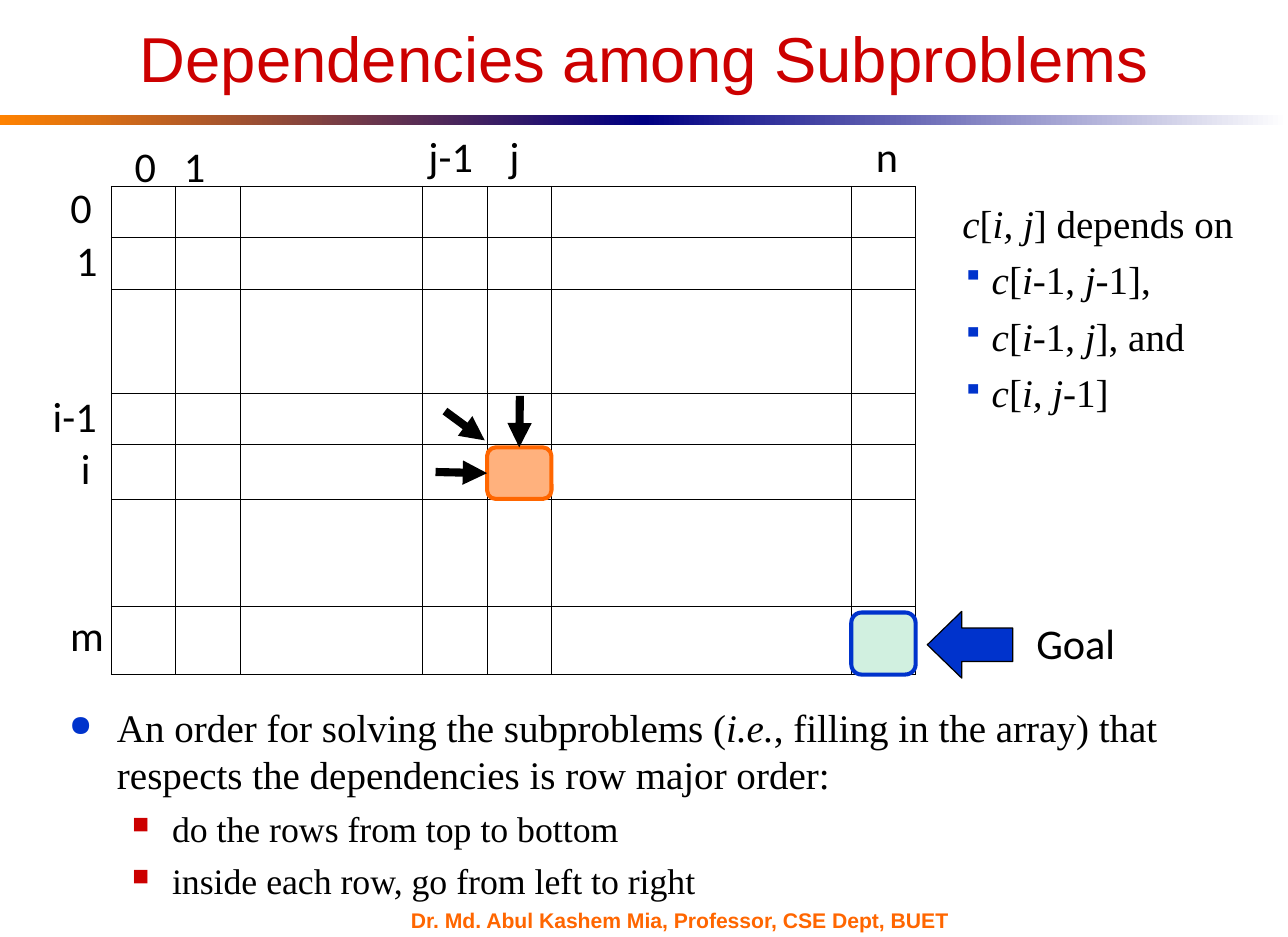
import itertools
import lxml.etree
import pptx
import pptx.dml.color
import pptx.enum.dml
import pptx.enum.shapes
import pptx.enum.text
import pptx.oxml
import pptx.oxml.ns
import pptx.util

Inches, Pt = pptx.util.Inches, pptx.util.Pt
RGB = pptx.dml.color.RGBColor.from_string
SHAPE = pptx.enum.shapes.MSO_SHAPE
ANCHOR = pptx.enum.text.MSO_ANCHOR
qn = pptx.oxml.ns.qn


class Theme:
    black, white = "000000", "FFFFFF"
    red, blue, orange = "CC0000", "0033CC", "FF6600"
    mint, amber, navy = "D1F0E0", "FF8200", "000082"
    sans, serif, label = "Arial", "Times New Roman", "Calibri"
    title_size, label_size, body_size, sub_size, footer_size = 39, 26, 24, 22, 13


W, H = 11, 8
prs = pptx.Presentation()
prs.slide_width, prs.slide_height = Inches(W), Inches(H)
s = prs.slides.add_slide(prs.slide_layouts[5])


def write(sp, lines, font, size, color=Theme.black, bold=False, anchor=ANCHOR.TOP):
    """Fill a text shape; an asterisk in a line switches italics on or off."""
    tf = sp.text_frame
    tf.word_wrap = True
    tf.auto_size = pptx.enum.text.MSO_AUTO_SIZE.NONE
    tf.vertical_anchor = anchor
    tf.margin_left = tf.margin_right = Inches(0.11)
    tf.margin_top = tf.margin_bottom = Inches(0.05)
    for n, line in enumerate(lines):
        p = tf.paragraphs[0] if n == 0 else tf.add_paragraph()
        for k, part in enumerate(line.split("*")):
            if part:
                r = p.add_run()
                r.text = part
                r.font.name, r.font.size = font, Pt(size)
                r.font.bold, r.font.italic = bold, k % 2 == 1
                r.font.color.rgb = RGB(color)
    return tf.paragraphs


def indent(p, left, hang, before, bullet=None, color=None, share=100):
    """Set the hanging indent, the space above and the bullet of a paragraph."""
    p.space_before = Pt(before)
    pPr = p._p.get_or_add_pPr()
    pPr.set("marL", str(Inches(left)))
    pPr.set("indent", str(-Inches(hang)))
    if bullet:
        clr = lxml.etree.SubElement(pPr, qn("a:buClr"))
        lxml.etree.SubElement(clr, qn("a:srgbClr"), val=color)
        lxml.etree.SubElement(pPr, qn("a:buSzPct"), val=str(share * 1000))
        lxml.etree.SubElement(pPr, qn("a:buChar"), char=bullet)


# Title
title = s.shapes.title
title.left, title.top = Inches(0.05 * W), Inches(0.04 * H)
title.width, title.height = Inches(0.9 * W), Inches(0.54)
p = write(title, ["Dependencies among Subproblems"], Theme.sans, Theme.title_size,
          Theme.red, anchor=ANCHOR.BOTTOM)[0]
p.alignment = pptx.enum.text.PP_ALIGN.CENTER

# Gradient rule under the title
for half, ends in enumerate([(Theme.amber, Theme.navy), (Theme.navy, Theme.white)]):
    sp = s.shapes.add_shape(SHAPE.RECTANGLE, Inches(half * W / 2), Inches(0.98),
                            Inches(W / 2), Inches(0.09))
    sp.shadow.inherit = False
    sp.line.fill.background()
    sp.fill.gradient()
    sp.fill.gradient_angle = 0
    for stop, color in zip(sp.fill.gradient_stops, ends):
        stop.color.rgb = RGB(color)

# Array of subproblems
cols = [0.55, 0.55, 1.56, 0.55, 0.55, 2.56, 0.55]
rows = [0.44, 0.44, 0.89, 0.43, 0.47, 0.92, 0.58]
col_x = list(itertools.accumulate(cols, initial=0.95))
row_y = list(itertools.accumulate(rows, initial=1.59))
frame = s.shapes.add_table(len(rows), len(cols), Inches(col_x[0]), Inches(row_y[0]),
                           Inches(sum(cols)), Inches(sum(rows)))
table = frame.table
table.first_row = table.horz_banding = False
for col, width in zip(table.columns, cols):
    col.width = Inches(width)
for row, height in zip(table.rows, rows):
    row.height = Inches(height)
for cell in table.iter_cells():
    cell.fill.background()
    tcPr = cell._tc.get_or_add_tcPr()
    for n, side in enumerate(["lnL", "lnR", "lnT", "lnB"]):
        ln = lxml.etree.Element(qn("a:" + side), w=str(Pt(0.45)))
        fill = lxml.etree.SubElement(ln, qn("a:solidFill"))
        lxml.etree.SubElement(fill, qn("a:srgbClr"), val=Theme.black)
        tcPr.insert(n, ln)

# Column labels, row labels and goal label
labels = [
    ("0", 1.04, 1.15, 0.42), ("1", 1.46, 1.15, 0.42), ("j-1", 3.55, 1.06, 0.63),
    ("j", 4.24, 1.06, 0.31), ("n", 7.37, 1.06, 0.3),
    ("0", 0.49, 1.5, 0.42), ("1", 0.54, 1.95, 0.42), ("i-1", 0.34, 3.28, 0.63),
    ("i", 0.58, 3.73, 0.31), ("m", 0.49, 5.15, 0.46), ("Goal", 8.74, 5.22, 1.19),
]
for text, x, y, w in labels:
    sp = s.shapes.add_textbox(Inches(x), Inches(y), Inches(w), Inches(0.54))
    write(sp, [text], Theme.label, Theme.label_size)

# Goal cell and current cell
marked = []
for row, col, gap, fill, line in [(6, 6, 0.05, Theme.mint, Theme.blue),
                                  (4, 4, 0.03, Theme.orange, Theme.orange)]:
    sp = s.shapes.add_shape(SHAPE.ROUNDED_RECTANGLE, Inches(col_x[col]),
                            Inches(row_y[row] + gap), Inches(cols[col]),
                            Inches(rows[row] - gap))
    sp.shadow.inherit = False
    sp.fill.solid()
    sp.fill.fore_color.rgb = RGB(fill)
    sp.line.color.rgb = RGB(line)
    sp.line.width = Pt(2.5)
    marked.append(sp)
goal, current = marked
color = current._element.spPr.find(qn("a:solidFill")).find(qn("a:srgbClr"))
lxml.etree.SubElement(color, qn("a:alpha"), val="51000")

# Goal arrow
sp = s.shapes.add_shape(SHAPE.LEFT_ARROW, Inches(7.92), Inches(5.22),
                        Inches(0.73), Inches(0.57))
sp.adjustments[1] = 0.516
sp.shadow.inherit = False
sp.fill.solid()
sp.fill.fore_color.rgb = RGB(Theme.blue)
sp.line.color.rgb = RGB(Theme.black)
sp.line.width = Pt(0.75)

# Dependency arrows: from above, from the left and from the diagonal
for x1, y1, x2, y2, side in [(4.44, 3.38, 4.43, 3.8, 0), (3.72, 4.03, 4.14, 4.04, 1),
                             (3.8, 3.51, 4.14, 3.76, None)]:
    arrow = s.shapes.add_connector(pptx.enum.shapes.MSO_CONNECTOR.STRAIGHT, Inches(x1),
                                   Inches(y1), Inches(x2), Inches(y2))
    if side is not None:
        arrow.end_connect(current, side)
    arrow.line.color.rgb = RGB(Theme.black)
    arrow.line.width = Pt(5)
    lxml.etree.SubElement(arrow.line._get_or_add_ln(), qn("a:tailEnd"), type="triangle")
    lxml.etree.SubElement(arrow._element.spPr, qn("a:effectLst"))

# Dependency list
sp = s.shapes.add_textbox(Inches(8.11), Inches(1.65), Inches(2.63), Inches(2.07))
ps = write(sp, ["*c*[*i, j*] depends on", "*c*[*i*-1, *j*-1],", "*c*[*i*-1, *j*], and",
                "*c*[*i, j*-1]"], Theme.serif, Theme.body_size)
indent(ps[0], 0.25, 0.25, 6)
for p in ps[1:]:
    indent(p, 0.25, 0.25, 6, "▪", Theme.blue, 75)

# Order of solving
sp = s.shapes.add_textbox(Inches(0.48), Inches(5.96), Inches(0.9 * W), Inches(1.8))
ps = write(sp, ["An order for solving the subproblems (*i.e.*, filling in the array) "
                "that respects the dependencies is row major order:",
                "do the rows from top to bottom",
                "inside each row, go from left to right"], Theme.serif, Theme.body_size)
indent(ps[0], 0.41, 0.41, 6, "●", Theme.blue, 75)
for p in ps[1:]:
    p.level = 1
    p.runs[0].font.size = Pt(Theme.sub_size)
    indent(p, 0.88, 0.34, 5.5, "■", Theme.red, 65)

# Footer
sp = s.shapes.add_textbox(Inches(3.4), Inches(0.97 * H), Inches(5.13), Inches(0.19))
write(sp, ["Dr. Md. Abul Kashem Mia, Professor, CSE Dept, BUET"], Theme.sans,
      Theme.footer_size, Theme.orange, bold=True, anchor=ANCHOR.MIDDLE)

prs.save("out.pptx")
